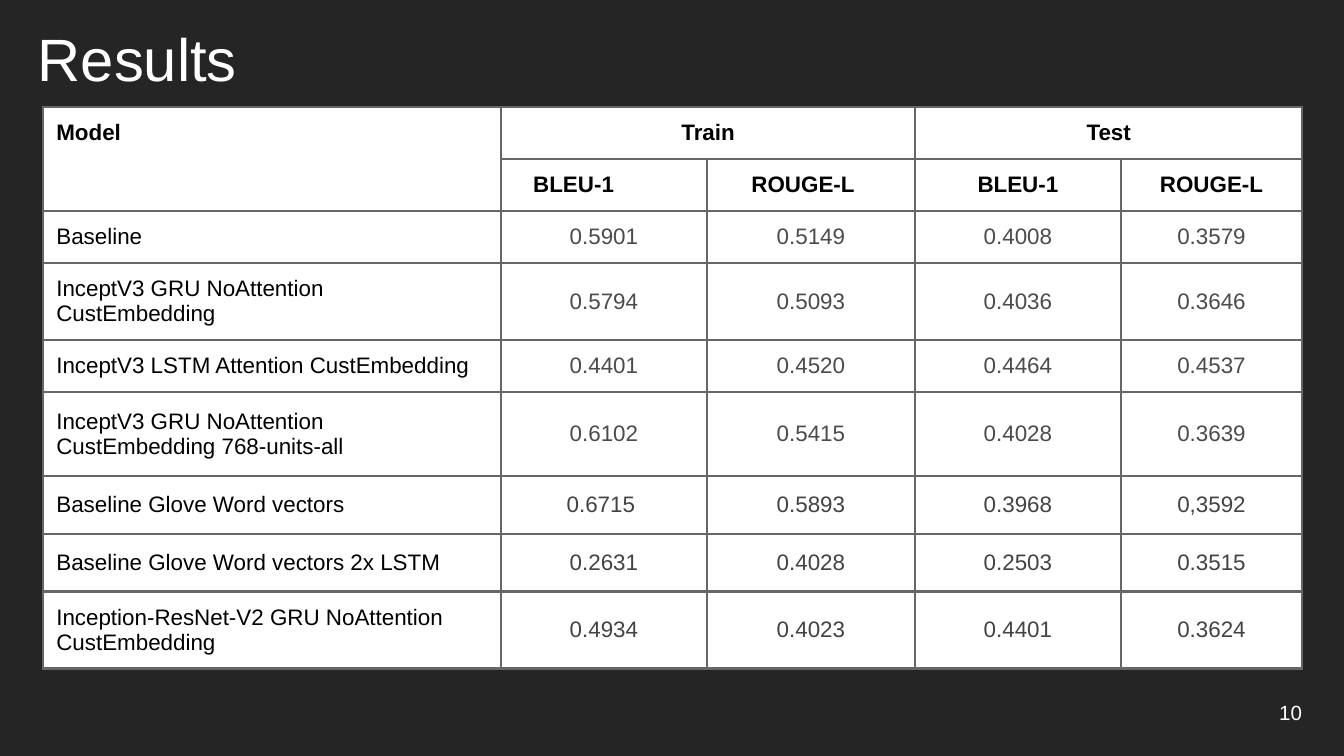
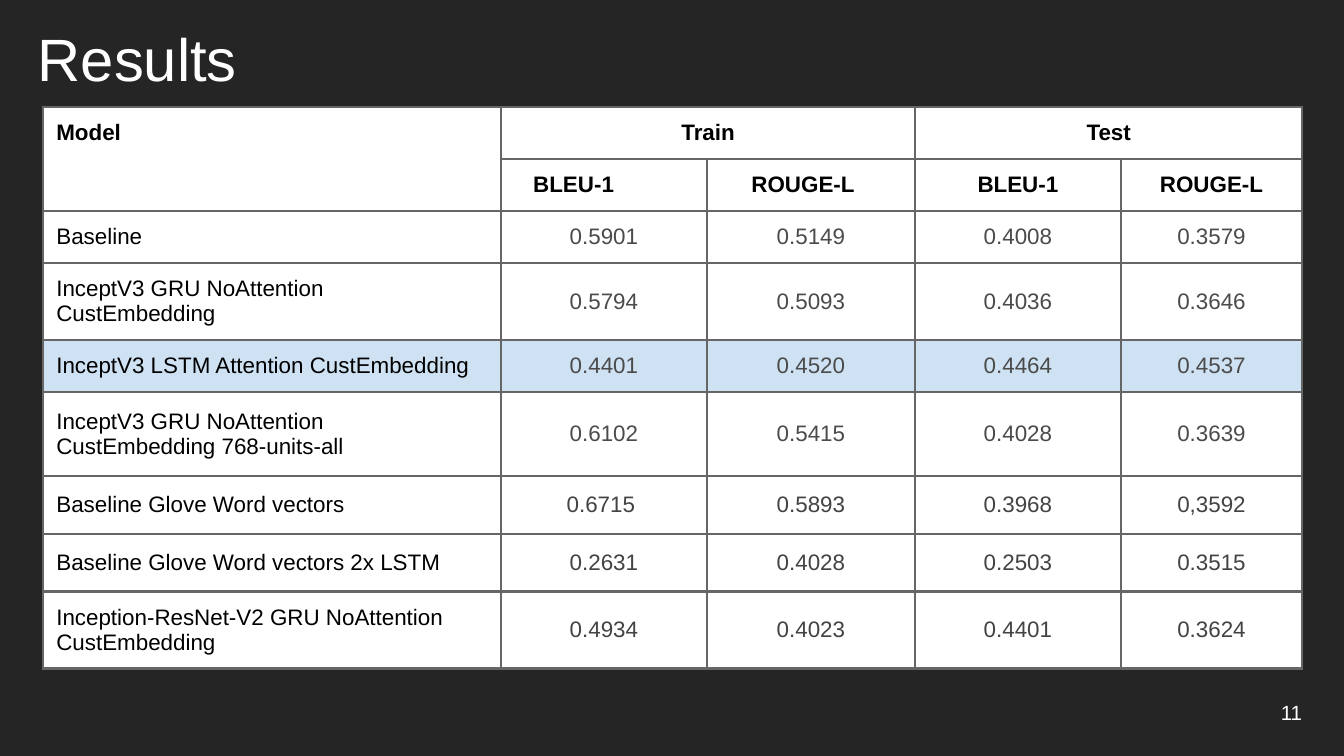
from lxml import etree
from pptx import Presentation
from pptx.dml.color import RGBColor
from pptx.enum.text import MSO_ANCHOR, MSO_AUTO_SIZE, PP_ALIGN
from pptx.oxml.ns import qn
from pptx.util import Pt

LEFT, CENTER, RIGHT = PP_ALIGN.LEFT, PP_ALIGN.CENTER, PP_ALIGN.RIGHT
TOP, MIDDLE = MSO_ANCHOR.TOP, MSO_ANCHOR.MIDDLE
NO_AUTOFIT = MSO_AUTO_SIZE.NONE

BACKGROUND = RGBColor(0x25, 0x25, 0x25)
WHITE = RGBColor(0xFF, 0xFF, 0xFF)
BLACK = RGBColor(0x00, 0x00, 0x00)
GRAY = RGBColor(0x4B, 0x4B, 0x4B)
DARK_GRAY = RGBColor(0x43, 0x43, 0x43)
BORDER = RGBColor(0x66, 0x66, 0x66)
HIGHLIGHT = RGBColor(0xCF, 0xE2, 0xF3)

FONT = "Arial"
TITLE_ONLY = 5
WIDE = (7.2, 7.2, 7.2, 7.2)    # cell margins: left, top, right, bottom
NARROW = (2.2, 1.4, 2.2, 1.4)

COLUMN_WIDTHS = [245.5, 110.2, 111.6, 110.2, 97.2]
ROW_HEIGHTS = [27.8, 27.8, 27.8, 41.3, 27.8, 45, 31, 31, 41.3]
METRICS = [  # text, alignment, left indent
    ("BLEU-1", LEFT, 10),
    ("ROUGE-L", LEFT, 16.7),
    ("BLEU-1", CENTER, 0),
    ("ROUGE-L", CENTER, 0),
]
RESULTS = [  # model, score colour, scores
    ("Baseline", GRAY, ["0.5901", "0.5149", "0.4008", "0.3579"]),
    ("InceptV3 GRU NoAttention CustEmbedding", GRAY,
     ["0.5794", "0.5093", "0.4036", "0.3646"]),
    ("InceptV3 LSTM Attention CustEmbedding", GRAY,
     ["0.4401", "0.4520", "0.4464", "0.4537"]),
    ("InceptV3 GRU NoAttention CustEmbedding 768-units-all", GRAY,
     ["0.6102", "0.5415", "0.4028", "0.3639"]),
    ("Baseline Glove Word vectors", DARK_GRAY,
     ["0.6715 ", "0.5893", "0.3968", "0,3592"]),
    ("Baseline Glove Word vectors 2x LSTM", DARK_GRAY,
     ["0.2631", "0.4028", "0.2503", "0.3515"]),
    ("Inception-ResNet-V2 GRU NoAttention CustEmbedding", DARK_GRAY,
     ["0.4934", "0.4023", "0.4401", "0.3624"]),
]
HEADER_ROWS = 2
BEST_RESULT = 2


class Deck:
    """Holds the presentation style and the current slide."""

    def __init__(self):
        self.presentation = Presentation()
        self.presentation.slide_width = Pt(720)
        self.presentation.slide_height = Pt(405)
        fill = self.presentation.slide_master.background.fill
        fill.solid()
        fill.fore_color.rgb = BACKGROUND
        self.slide = None

    def add_slide(self):
        layout = self.presentation.slide_layouts[TITLE_ONLY]
        self.slide = self.presentation.slides.add_slide(layout)

    def set_text(self, frame, text, size, color, alignment=LEFT, bold=False):
        paragraph = frame.paragraphs[0]
        paragraph.text = text
        paragraph.alignment = alignment
        font = paragraph.font
        font.name, font.size, font.bold = FONT, Pt(size), bold
        font.color.rgb = color
        return paragraph

    def prepare_frame(self, shape, anchor):
        frame = shape.text_frame
        frame.margin_left = frame.margin_right = 0
        frame.margin_top = frame.margin_bottom = 0
        frame.word_wrap = True
        frame.auto_size = NO_AUTOFIT
        frame.vertical_anchor = anchor
        return frame

    def title(self, text):
        shape = self.slide.shapes.title
        shape.left, shape.top = Pt(20.2), Pt(15.8)
        shape.width, shape.height = Pt(679.7), Pt(31.7)
        frame = self.prepare_frame(shape, TOP)
        self.set_text(frame, text, 32, WHITE).line_spacing = 0.9

    def page_number(self, number):
        shape = self.slide.shapes.add_textbox(Pt(674.6), Pt(373), Pt(23), Pt(17.3))
        frame = self.prepare_frame(shape, MIDDLE)
        self.set_text(frame, str(number), 11, WHITE, RIGHT)

    def table(self, left, top, widths, heights):
        frame = self.slide.shapes.add_table(
            len(heights), len(widths), Pt(left), Pt(top), Pt(sum(widths)), Pt(sum(heights)))
        table = frame.table
        table.first_row = table.horz_banding = False
        for column, width in zip(table.columns, widths):
            column.width = Pt(width)
        for row, height in zip(table.rows, heights):
            row.height = Pt(height)
            for cell in row.cells:
                self.cell_borders(cell)
                self.cell_fill(cell, WHITE)
        return table

    def cell_borders(self, cell):
        properties = cell._tc.get_or_add_tcPr()
        for side in ("a:lnL", "a:lnR", "a:lnT", "a:lnB"):
            line = etree.SubElement(properties, qn(side), w=str(Pt(1.5)))
            solid = etree.SubElement(line, qn("a:solidFill"))
            etree.SubElement(solid, qn("a:srgbClr"), val=str(BORDER))

    def cell_fill(self, cell, color):
        cell.fill.solid()
        cell.fill.fore_color.rgb = color

    def cell_text(self, cell, text, color=BLACK, alignment=LEFT, bold=False,
                  anchor=MIDDLE, margins=WIDE, indent=0):
        left, top, right, bottom = margins
        cell.margin_left, cell.margin_top = Pt(left + indent), Pt(top)
        cell.margin_right, cell.margin_bottom = Pt(right), Pt(bottom)
        cell.vertical_anchor = anchor
        self.set_text(cell.text_frame, text, 12, color, alignment, bold)

    def results_table(self, highlighted=None):
        table = self.table(23, 57.2, COLUMN_WIDTHS, ROW_HEIGHTS)

        # Two header rows with merged groups
        header = {"bold": True, "anchor": TOP}
        table.cell(0, 0).merge(table.cell(1, 0))
        self.cell_text(table.cell(0, 0), "Model", **header)
        for column, group in ((1, "Train"), (3, "Test")):
            table.cell(0, column).merge(table.cell(0, column + 1))
            self.cell_text(table.cell(0, column), group, alignment=CENTER, **header)
        for column, (metric, alignment, indent) in enumerate(METRICS, 1):
            self.cell_text(table.cell(1, column), metric, alignment=alignment,
                           indent=indent, **header)

        # One row per model
        for row, (model, color, scores) in enumerate(RESULTS, HEADER_ROWS):
            self.cell_text(table.cell(row, 0), model)
            for column, score in enumerate(scores, 1):
                margins = WIDE if column == len(scores) else NARROW
                self.cell_text(table.cell(row, column), score, color, CENTER,
                               margins=margins)

        if highlighted is not None:
            for cell in table.rows[HEADER_ROWS + highlighted].cells:
                self.cell_fill(cell, HIGHLIGHT)


def main():
    deck = Deck()
    # The same results, first plain, then with the best model marked
    for number, highlighted in ((10, None), (11, BEST_RESULT)):
        deck.add_slide()
        deck.title("Results")
        deck.results_table(highlighted)
        deck.page_number(number)
    deck.presentation.save("out.pptx")


if __name__ == "__main__":
    main()
